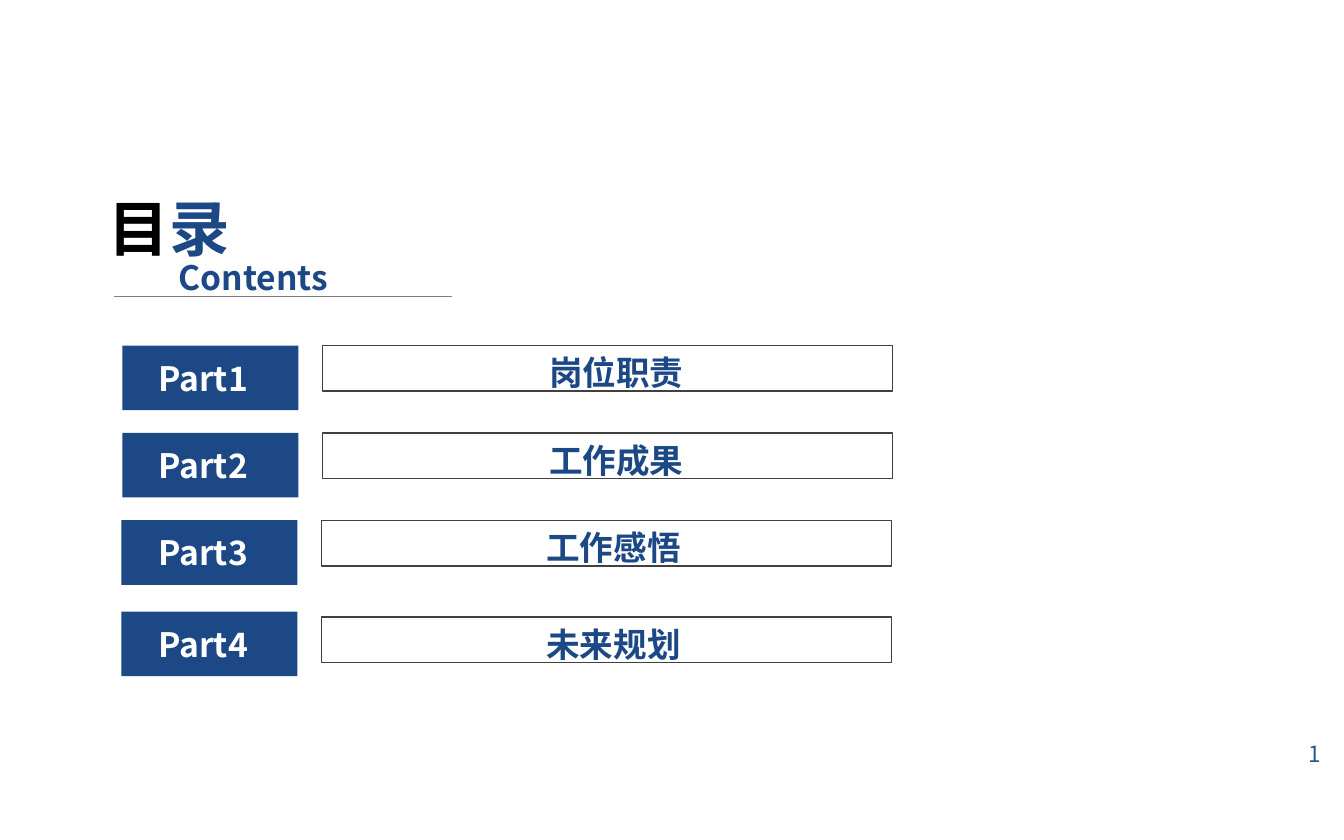
import dataclasses
import lxml.etree
import pptx
import pptx.dml.color
import pptx.enum.shapes
import pptx.enum.text
import pptx.oxml.ns
import pptx.shapes.autoshape
import pptx.shapes.base
import pptx.slide
import pptx.util

Pt = pptx.util.Pt
Align = pptx.enum.text.PP_ALIGN
Anchor = pptx.enum.text.MSO_ANCHOR
Fit = pptx.enum.text.MSO_AUTO_SIZE
FONT = "Noto Sans CJK SC"
BLUE = "1C4885"
WHITE = "FFFFFF"


@dataclasses.dataclass
class Box:
    left: float
    top: float
    width: float
    height: float

    def place(self, shape: pptx.shapes.base.BaseShape) -> None:
        shape.left, shape.top = Pt(self.left), Pt(self.top)
        shape.width, shape.height = Pt(self.width), Pt(self.height)


@dataclasses.dataclass
class Run:
    text: str
    color: str = BLUE
    size: float = 18
    bold: bool = True


@dataclasses.dataclass
class Part:
    name: str
    topic: str
    tag: Box
    bar: Box
    label: Box


def rgb(value: str) -> pptx.dml.color.RGBColor:
    return pptx.dml.color.RGBColor.from_string(value)


def write(shape: pptx.shapes.autoshape.Shape, runs: list[Run],
          align: Align = Align.LEFT, anchor: Anchor = Anchor.TOP,
          fit: Fit = Fit.SHAPE_TO_FIT_TEXT) -> None:
    frame = shape.text_frame
    frame.word_wrap = True
    frame.auto_size = fit
    frame.vertical_anchor = anchor
    para = frame.paragraphs[0]
    para.alignment = align
    for item in runs:
        run = para.add_run()
        run.text = item.text
        font = run.font
        font.size, font.bold, font.name = Pt(item.size), item.bold, FONT
        font.color.rgb = rgb(item.color)
        east = lxml.etree.SubElement(run._r.get_or_add_rPr(),
                                     pptx.oxml.ns.qn("a:ea"))
        east.set("typeface", FONT)


def add_text(slide: pptx.slide.Slide, box: Box, run: Run,
             align: Align = Align.LEFT, anchor: Anchor = Anchor.TOP,
             fit: Fit = Fit.SHAPE_TO_FIT_TEXT) -> None:
    shape = slide.shapes.add_textbox(0, 0, 0, 0)
    box.place(shape)
    write(shape, [run], align, anchor, fit)


def add_rect(slide: pptx.slide.Slide, box: Box, fill: str = "",
             line: str = "") -> None:
    kind = pptx.enum.shapes.MSO_SHAPE.RECTANGLE
    shape = slide.shapes.add_shape(kind, 0, 0, 0, 0)
    box.place(shape)
    shape.shadow.inherit = False
    if fill:
        shape.fill.solid()
        shape.fill.fore_color.rgb = rgb(fill)
    else:
        shape.fill.background()
    if line:
        shape.line.color.rgb = rgb(line)
        shape.line.width = Pt(0.75)
    else:
        shape.line.fill.background()


def add_rule(slide: pptx.slide.Slide, left: float, right: float,
             top: float) -> None:
    kind = pptx.enum.shapes.MSO_CONNECTOR.STRAIGHT
    rule = slide.shapes.add_connector(kind, Pt(left), Pt(top),
                                      Pt(right), Pt(top))
    rule.line.color.rgb = rgb("7F7F7F")
    rule.line.width = Pt(0.5)
    lxml.etree.SubElement(rule._element.spPr,
                          pptx.oxml.ns.qn("a:effectLst"))


def add_part(slide: pptx.slide.Slide, part: Part) -> None:
    add_rect(slide, part.bar, line="404040")
    add_text(slide, part.label, Run(part.topic), Align.CENTER)
    add_rect(slide, part.tag, fill=BLUE)
    name = Box(77.8, part.tag.top + 2.9, 68.4, 28.8)
    add_text(slide, name, Run(part.name, WHITE))


def make_part(index: int, topic: str, top: float, drop: float,
              shift: float, label: tuple[float, float]) -> Part:
    left, width = label
    return Part(f"Part{index}", topic,
                Box(65.5 - shift, top, 94.3, 34.6),
                Box(172.8 - shift, top + drop, 305.3, 24.5),
                Box(left, top + drop, width, 28.8))


deck = pptx.Presentation()
deck.slide_width, deck.slide_height = Pt(720), Pt(450)
slide = deck.slides.add_slide(deck.slide_layouts[5])

title = slide.shapes.title
Box(51.1, 98.6, 101.5, 46.8).place(title)
write(title, [Run("目", "000000", 32.4), Run("录", BLUE, 32.4)])
add_rule(slide, 61.2, 241.9, 159.1)
add_text(slide, Box(88.6, 133.9, 101.5, 28.8), Run("Contents"))

wide, slim = (213.1, 234), (218.2, 221)
first, step = 185.1, 46.8
parts = [
    make_part(1, "岗位职责", first, 0, 0, wide),
    make_part(2, "工作成果", first + step, 0, 0, wide),
    make_part(3, "工作感悟", first + 2 * step, 0, 0.5, slim),
    make_part(4, "未来规划", 327.6, 2.9, 0.5, slim),
]
for part in parts:
    add_part(slide, part)

add_text(slide, Box(688.3, 391.7, 31.7, 23.8),
         Run("1", "27558F", 12, False), Align.CENTER, Anchor.MIDDLE, Fit.NONE)
deck.save("out.pptx")
